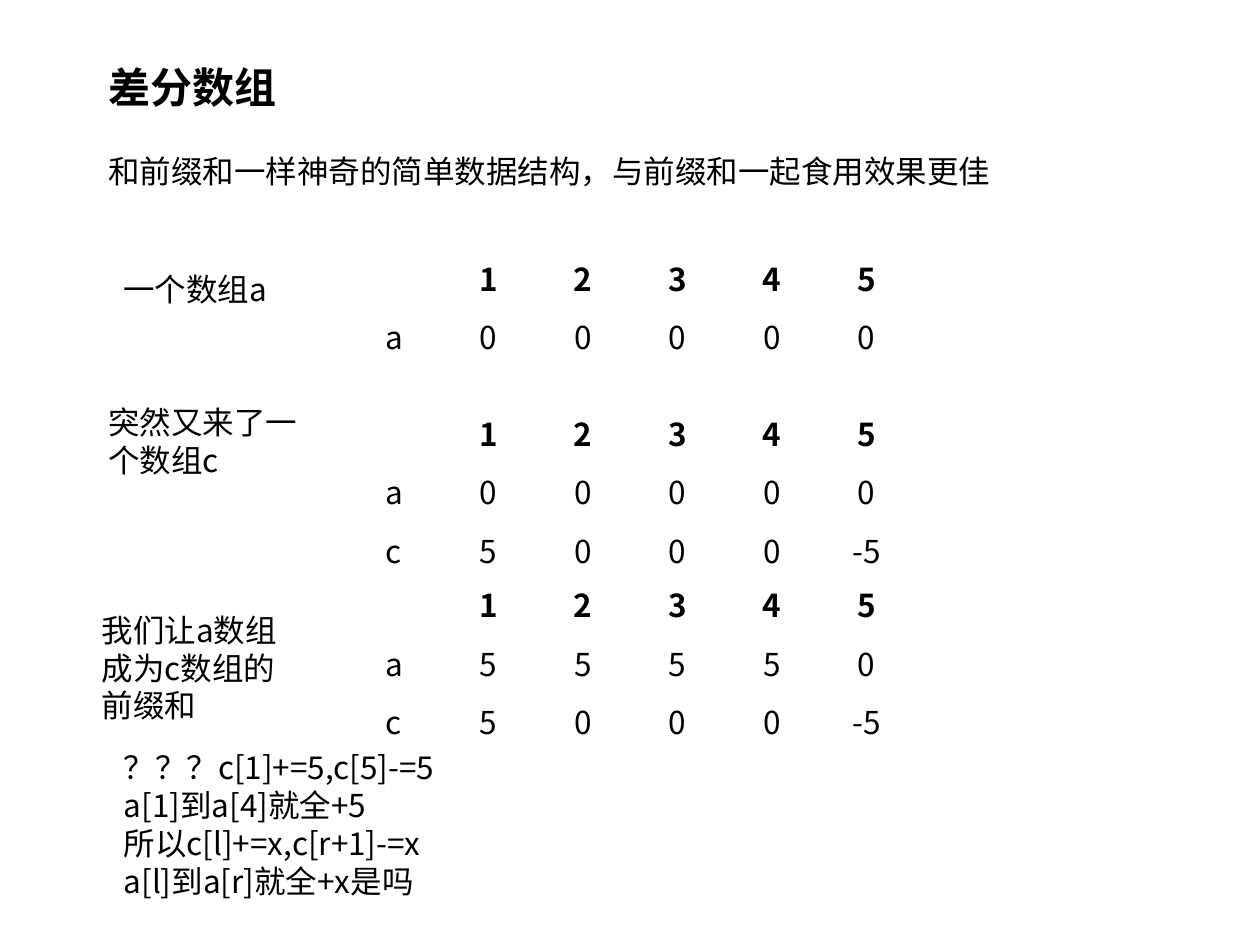
import lxml.etree
import pptx
import pptx.dml.color
import pptx.enum.text
import pptx.oxml.ns
import pptx.util

Cm = pptx.util.Cm
FONT = "Noto Sans CJK JP"
COLORS = {"text": "000000", "background": "FFFFFF"}
ALIGN = pptx.enum.text.PP_ALIGN
ANCHOR = pptx.enum.text.MSO_ANCHOR
INDICES = ["", "1", "2", "3", "4", "5"]
ZEROS = ["0"] * 5
DIFFERENCES = ["c", "5", "0", "0", "0", "-5"]
TABLE_LEFT, TABLE_WIDTH, ROW_HEIGHT = 6.99, 11.43, 0.92


def write_text(frame, text, size=18, bold=False, align=ALIGN.LEFT):
    """Fill a text frame with one unbulleted paragraph per line of text."""
    for number, line in enumerate(text.split("\n")):
        paragraph = frame.paragraphs[0] if number == 0 else frame.add_paragraph()
        paragraph.alignment = align
        paragraph.space_before = pptx.util.Pt(0)
        properties = paragraph._p.get_or_add_pPr()
        properties.set("marL", "0")
        properties.set("indent", "0")
        lxml.etree.SubElement(properties, pptx.oxml.ns.qn("a:buNone"))
        run = paragraph.add_run()
        run.text = line
        run.font.name = FONT
        run.font.size = pptx.util.Pt(size)
        run.font.bold = bold
        run.font.color.rgb = pptx.dml.color.RGBColor.from_string(COLORS["text"])
        east_asian = lxml.etree.SubElement(run._r.rPr, pptx.oxml.ns.qn("a:ea"))
        east_asian.set("typeface", FONT)


def place_text(shape, box, text, **text_format):
    """Move a text shape to a box in centimetres and fill it."""
    shape.left, shape.top, shape.width, shape.height = map(Cm, box)
    frame = shape.text_frame
    frame.word_wrap = True
    frame.auto_size = pptx.enum.text.MSO_AUTO_SIZE.NONE
    frame.vertical_anchor = ANCHOR.TOP
    write_text(frame, text, **text_format)


def add_caption(slide, box, text):
    """Add a text box at a box in centimetres."""
    place_text(slide.shapes.add_textbox(0, 0, 0, 0), box, text)


def add_header(slide, left, top):
    """Place the title and the introduction below it."""
    place_text(slide.shapes.title, (left, top, 6.27, 1.27), "差分数组", size=24, bold=True)
    add_caption(slide, (left, top + 1.83, 19.1, 2.54),
                "和前缀和一样神奇的简单数据结构，与前缀和一起食用效果更佳")


def add_array_table(slide, top, arrays):
    """Add a table with a row of indices above the named arrays."""
    rows = [INDICES] + arrays
    table = slide.shapes.add_table(
        len(rows), len(INDICES), Cm(TABLE_LEFT), Cm(top),
        Cm(TABLE_WIDTH), Cm(ROW_HEIGHT * len(rows))).table
    table.first_row = False
    table.horz_banding = False
    for row_number, values in enumerate(rows):
        for column_number, value in enumerate(values):
            cell = table.cell(row_number, column_number)
            cell.fill.background()
            cell.vertical_anchor = ANCHOR.MIDDLE
            cell.margin_left = cell.margin_right = Cm(0.03)
            cell.margin_top = cell.margin_bottom = Cm(0.13)
            if value:
                write_text(cell.text_frame, value, bold=row_number == 0, align=ALIGN.CENTER)


def add_stage(slide, table_top, caption_box, caption, arrays):
    """Add one step: a caption, placed from the table's top, beside its table."""
    left, offset, width, height = caption_box
    add_caption(slide, (left, table_top + offset, width, height), caption)
    add_array_table(slide, table_top, arrays)


def add_conclusion(slide, box):
    """Place the closing lines in the body placeholder."""
    place_text(slide.placeholders[1], box,
               "？？？c[1]+=5,c[5]-=5\na[1]到a[4]就全+5\n"
               "所以c[l]+=x,c[r+1]-=x\na[l]到a[r]就全+x是吗")


def main():
    """Build and save the slide."""
    presentation = pptx.Presentation()
    presentation.slide_width, presentation.slide_height = Cm(25.4), Cm(19.05)
    slide = presentation.slides.add_slide(presentation.slide_layouts[1])
    fill = slide.background.fill
    fill.solid()
    fill.fore_color.rgb = pptx.dml.color.RGBColor.from_string(COLORS["background"])
    add_header(slide, 1.93, 1.12)
    add_stage(slide, 5, (2.24, 0.31, 16.74, 1.78), "一个数组a", [["a"] + ZEROS])
    add_stage(slide, 8.13, (1.93, -0.13, 4.55, 1.78), "突然又来了一个数组c",
              [["a"] + ZEROS, DIFFERENCES])
    add_stage(slide, 11.58, (1.8, 0.61, 4.5, 2.54), "我们让a数组成为c数组的前缀和",
              [["a", "5", "5", "5", "5", "0"], DIFFERENCES])
    add_conclusion(slide, (2.24, 14.96, 11, 3.3))
    presentation.save("out.pptx")


if __name__ == "__main__":
    main()
